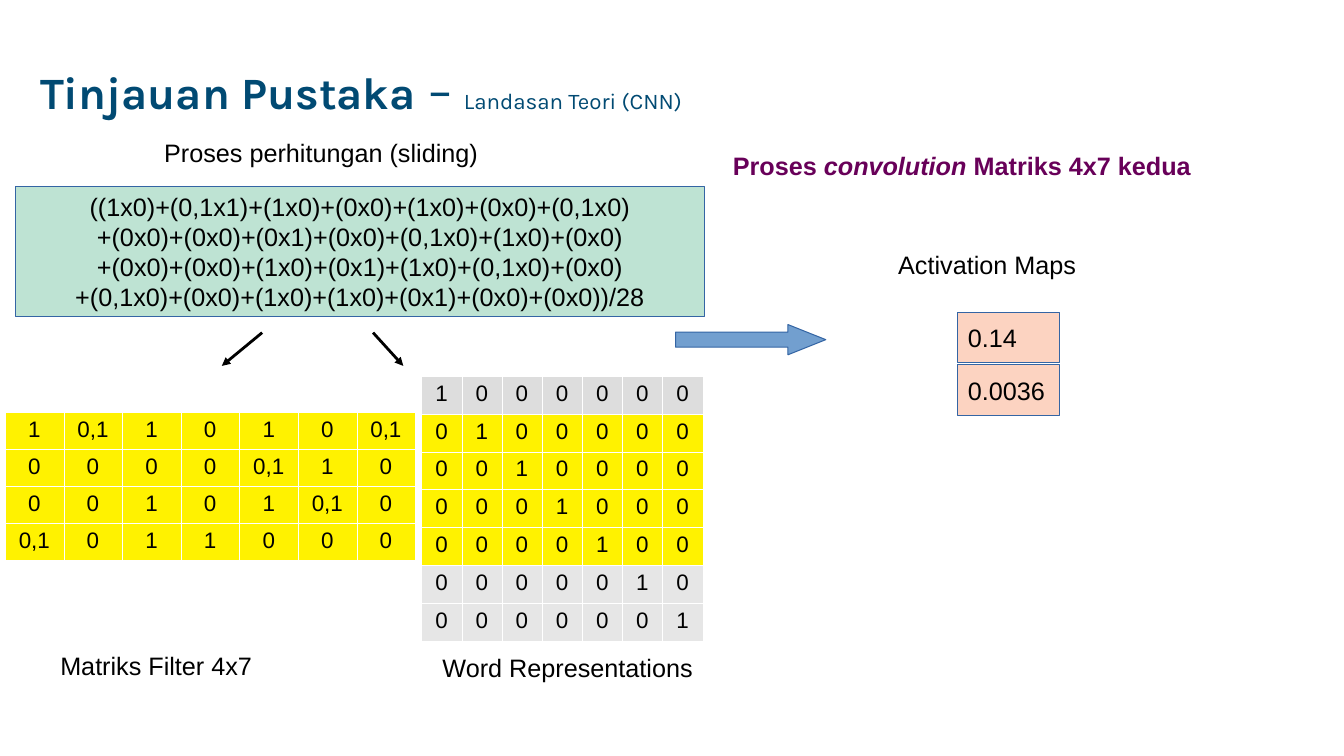
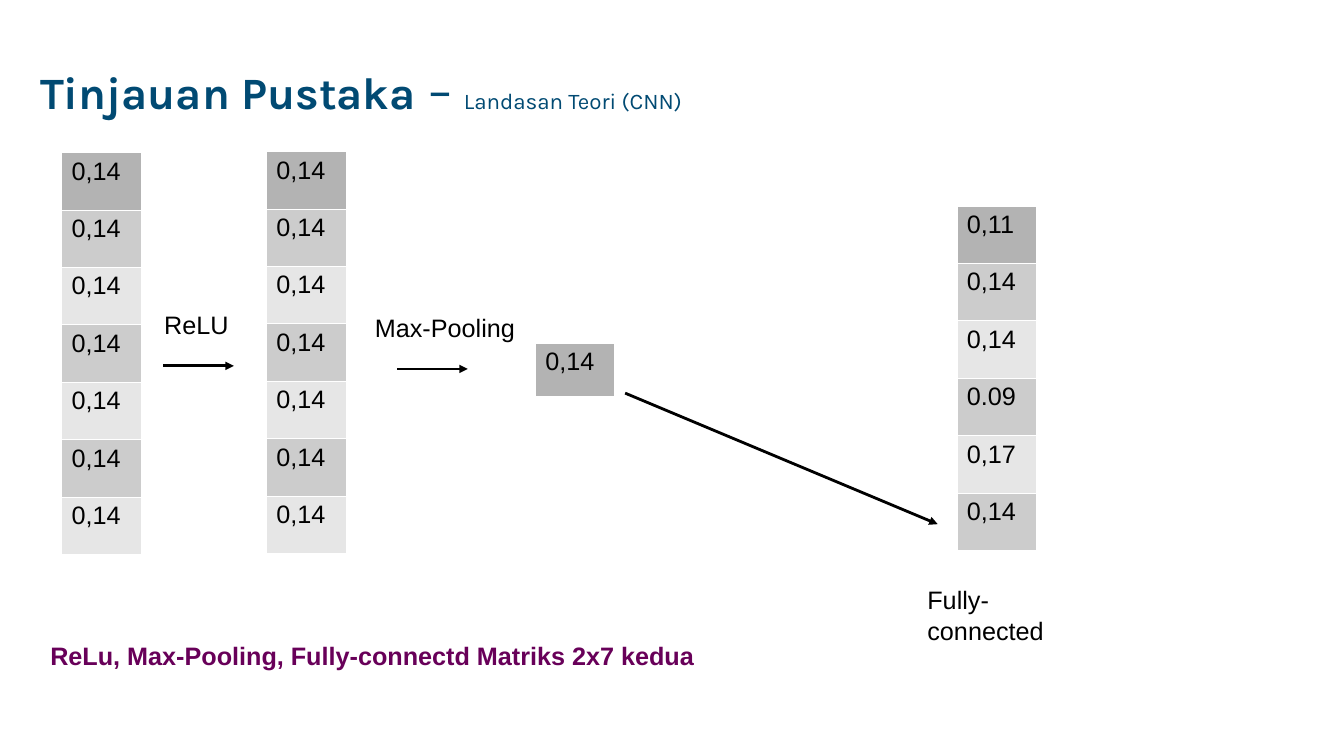
from lxml import etree
from pptx import Presentation
from pptx.dml.color import RGBColor
from pptx.enum.shapes import MSO_CONNECTOR, MSO_SHAPE
from pptx.enum.text import MSO_ANCHOR, PP_ALIGN
from pptx.oxml.ns import qn
from pptx.util import Pt

PX = 9144
STRAIGHT = MSO_CONNECTOR.STRAIGHT
RECTANGLE = MSO_SHAPE.RECTANGLE
RIGHT_ARROW = MSO_SHAPE.RIGHT_ARROW
MIDDLE = MSO_ANCHOR.MIDDLE
TOP = MSO_ANCHOR.TOP
LEFT = PP_ALIGN.LEFT
CENTER = PP_ALIGN.CENTER

BLACK = RGBColor(0x00, 0x00, 0x00)
NAVY = RGBColor(0x01, 0x4A, 0x73)
PLUM = RGBColor(0x68, 0x00, 0x59)
OUTLINE_BLUE = RGBColor(0x34, 0x65, 0xA4)
ARROW_BLUE = RGBColor(0x72, 0x9F, 0xCF)
MINT = RGBColor(0xBE, 0xE3, 0xD3)
PEACH = RGBColor(0xFC, 0xD3, 0xC1)
YELLOW = RGBColor(0xFF, 0xF2, 0x00)
HEADER_GRAY = RGBColor(0xDD, 0xDD, 0xDD)
DARK_GRAY = RGBColor(0xB3, 0xB3, 0xB3)
MID_GRAY = RGBColor(0xCC, 0xCC, 0xCC)
LIGHT_GRAY = RGBColor(0xE6, 0xE6, 0xE6)

BODY = {"name": "Arial", "size": Pt(18), "color": BLACK}
MATRIX = {**BODY, "size": Pt(16)}
CAPTION = {**BODY, "color": PLUM, "bold": True}
TITLE = {"name": "Karla", "size": Pt(32), "color": NAVY, "bold": True}
TITLE_RUNS = [
    ("Tinjauan Pustaka", TITLE),
    (" – ", {**TITLE, "size": Pt(36), "bold": False}),
    ("Landasan Teori (CNN)", {**TITLE, "size": Pt(16), "bold": False}),
]

FORMULA = [
    "((1x0)+(0,1x1)+(1x0)+(0x0)+(1x0)+(0x0)+(0,1x0)",
    "+(0x0)+(0x0)+(0x1)+(0x0)+(0,1x0)+(1x0)+(0x0)",
    "+(0x0)+(0x0)+(1x0)+(0x1)+(1x0)+(0,1x0)+(0x0)",
    "+(0,1x0)+(0x0)+(1x0)+(1x0)+(0x1)+(0x0)+(0x0))/28",
]
FILTER_ROWS = [
    "1 0,1 1 0 1 0 0,1",
    "0 0 0 0 0,1 1 0",
    "0 0 1 0 1 0,1 0",
    "0,1 0 1 1 0 0 0",
]
WORD_FILLS = [HEADER_GRAY] + [YELLOW] * 4 + [LIGHT_GRAY] * 2


def emu(*lengths):
    return [length * PX for length in lengths]


def style_font(font, style):
    for key, value in style.items():
        if key == "color":
            font.color.rgb = value
        else:
            setattr(font, key, value)


def write(frame, paragraphs, align=LEFT, anchor=TOP, spacing=None):
    frame.word_wrap = True
    frame.vertical_anchor = anchor
    for index, runs in enumerate(paragraphs):
        paragraph = frame.add_paragraph() if index else frame.paragraphs[0]
        for key, value in {"alignment": align, "line_spacing": spacing}.items():
            setattr(paragraph, key, value)
        for text, style in runs:
            run = paragraph.add_run()
            run.text = text
            style_font(run.font, style)


def add_label(slide, box, *runs, **layout):
    write(slide.shapes.add_textbox(*emu(*box)).text_frame, [runs], **layout)


def add_panel(slide, kind, box, fill, lines=(), align=LEFT):
    panel = slide.shapes.add_shape(kind, *emu(*box))
    panel.shadow.inherit = False
    panel.fill.solid()
    panel.fill.fore_color.rgb = fill
    panel.line.color.rgb = OUTLINE_BLUE
    panel.line.width = Pt(0.75)
    write(panel.text_frame, [[(line, BODY)] for line in lines], align, MIDDLE)
    return panel


def add_arrow(slide, *ends):
    arrow = slide.shapes.add_connector(STRAIGHT, *emu(*ends))
    arrow.line.color.rgb = BLACK
    arrow.line.width = 0
    properties = arrow.line._get_or_add_ln()
    etree.SubElement(properties, qn("a:tailEnd"), type="triangle")
    etree.SubElement(arrow._element.spPr, qn("a:effectLst"))


def add_borders(cell):
    properties = cell._tc.get_or_add_tcPr()
    for index, side in enumerate(("lnL", "lnR", "lnT", "lnB")):
        border = etree.Element(qn(f"a:{side}"), w="762")
        fill = etree.SubElement(border, qn("a:solidFill"))
        etree.SubElement(fill, qn("a:srgbClr"), val="FFFFFF")
        properties.insert(index, border)


def add_grid(slide, box, rows, fills, style, align=LEFT):
    left, top, width, height = emu(*box)
    row_count, column_count = len(rows), len(rows[0])
    grid = slide.shapes.add_table(row_count, column_count, left, top, width, height).table
    grid.first_row = grid.horz_banding = False
    for column in grid.columns:
        column.width = width // column_count
    for row, values, fill in zip(grid.rows, rows, fills):
        row.height = height // row_count
        for cell, value in zip(row.cells, values):
            cell.fill.solid()
            cell.fill.fore_color.rgb = fill
            add_borders(cell)
            write(cell.text_frame, [[(value, style)]], align)


def add_vector(slide, left, top, values, width=79, step=57):
    rows = [[value] for value in values]
    fills = [DARK_GRAY] + [MID_GRAY if i % 2 else LIGHT_GRAY for i in range(1, len(rows))]
    add_grid(slide, (left, top, width, step * len(rows)), rows, fills, BODY)


def add_titled_slide(deck):
    slide = deck.slides.add_slide(deck.slide_layouts[6])
    add_label(slide, (30, 20, 760, 145), *TITLE_RUNS, anchor=MIDDLE, spacing=0.9)
    return slide


def build_convolution(deck):
    slide = add_titled_slide(deck)
    identity = [["1" if row == column else "0" for column in range(7)] for row in range(7)]
    filter_matrix = [row.split() for row in FILTER_ROWS]
    add_grid(slide, (418, 373, 279, 263), identity, WORD_FILLS, MATRIX, CENTER)
    add_grid(slide, (5, 409, 407, 147), filter_matrix, [YELLOW] * 4, MATRIX, CENTER)
    add_panel(slide, RECTANGLE, (15, 185, 684, 129), MINT, FORMULA, CENTER)
    result_arrow = add_panel(slide, RIGHT_ARROW, (670, 322, 149, 30), ARROW_BLUE)
    result_arrow.adjustments[1] = 1.25
    for top, activation in ((362, "0.0036"), (310, "0.14")):
        add_panel(slide, RECTANGLE, (950, top, 101, 50), PEACH, [activation])
    for box, text in (
        ((50, 640, 250, 38), "Matriks Filter 4x7"),
        ((429, 642, 301, 38), "Word Representations"),
        ((153, 131, 406, 38), "Proses perhitungan (sliding)"),
        ((881, 242, 249, 38), "Activation Maps"),
    ):
        add_label(slide, box, (text, BODY))
    add_arrow(slide, 260, 330, 220, 363)
    add_arrow(slide, 370, 330, 400, 363)
    add_label(
        slide, (717, 144, 576, 66),
        ("Proses ", CAPTION),
        ("convolution", {**CAPTION, "italic": True}),
        (" Matriks 4x7 kedua", CAPTION),
    )


def build_pooling(deck):
    slide = add_titled_slide(deck)
    for left, top in ((61, 151), (264, 150)):
        add_vector(slide, left, top, ["0,14"] * 7)
    add_vector(slide, 531, 340, ["0,14"], width=78, step=53)
    add_vector(slide, 949, 204, ["0,11", "0,14", "0,14", "0.09", "0,17", "0,14"])
    for ends in ((620, 390, 930, 520), (162, 363, 232, 363), (394, 366, 464, 366)):
        add_arrow(slide, *ends)
    for box, text in (
        ((153, 302, 97, 38), "ReLU"),
        ((362, 305, 194, 38), "Max-Pooling"),
        ((910, 575, 190, 38), "Fully-connected"),
    ):
        add_label(slide, box, (text, BODY))
    add_label(
        slide, (40, 630, 781, 66),
        ("ReLu, Max-Pooling, Fully-connectd Matriks 2x7 kedua", CAPTION),
    )


def main():
    deck = Presentation()
    deck.slide_width, deck.slide_height = emu(1333, 750)
    build_convolution(deck)
    build_pooling(deck)
    deck.save("out.pptx")


if __name__ == "__main__":
    main()
